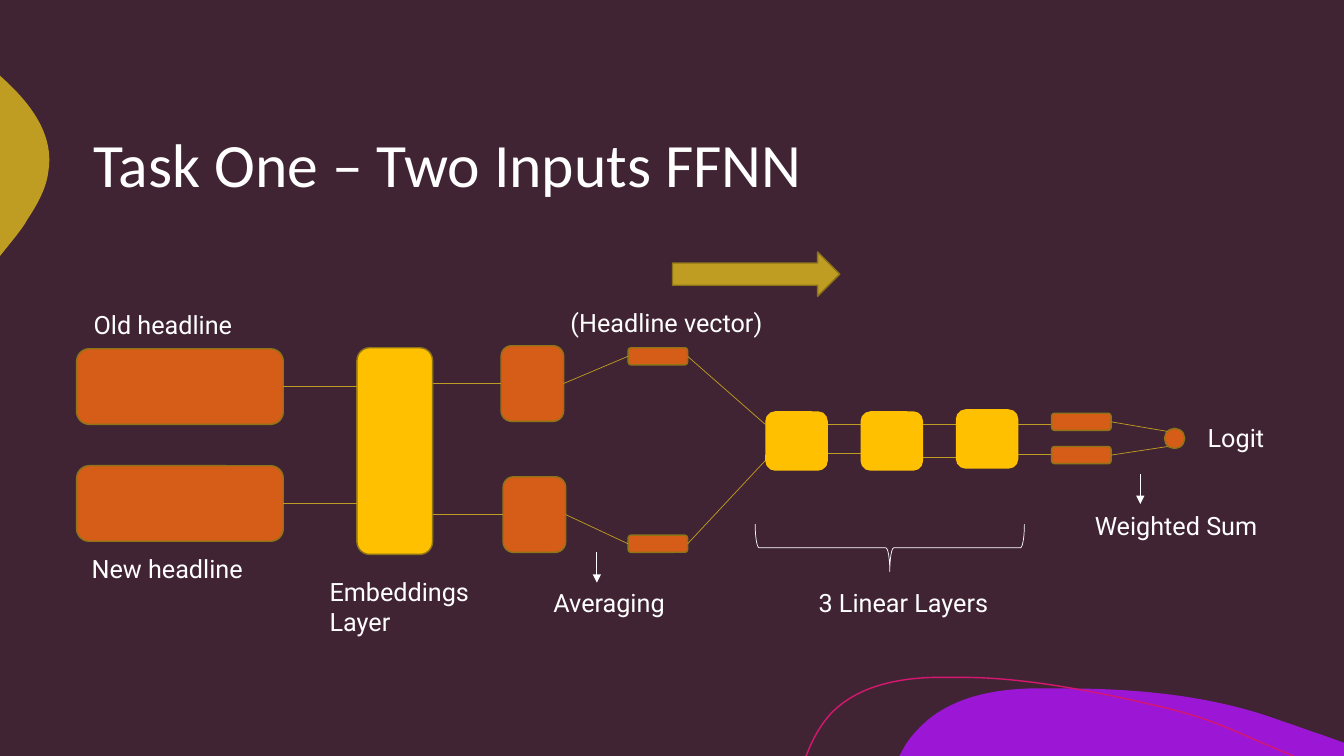
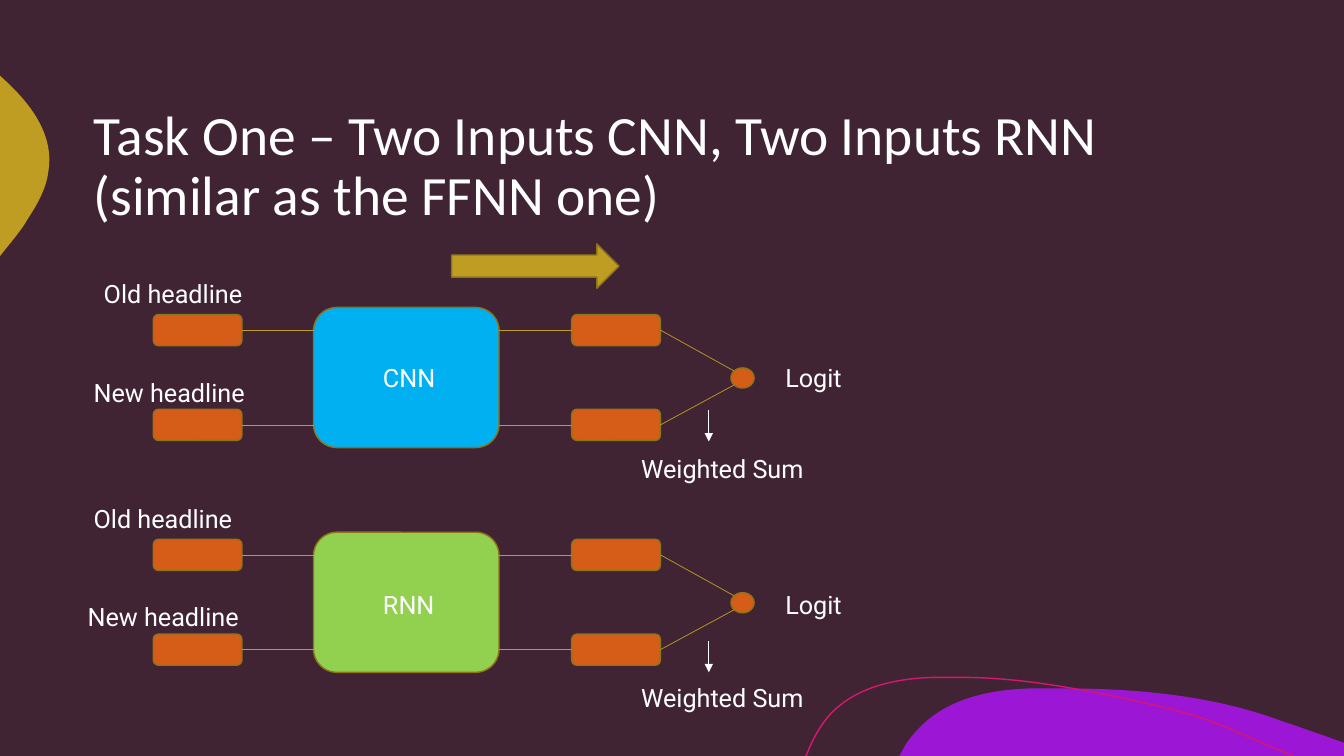
import lxml.etree
import pptx
import pptx.dml.color
import pptx.enum.shapes
import pptx.enum.text
import pptx.oxml.ns
import pptx.util

Inches = pptx.util.Inches
Pt = pptx.util.Pt
SHAPE = pptx.enum.shapes.MSO_SHAPE
qn = pptx.oxml.ns.qn

COLORS = {
    name: pptx.dml.color.RGBColor.from_string(value)
    for name, value in {
        "plum": "412434",
        "purple": "9C17D5",
        "gold": "BF9D22",
        "bronze": "8D7419",
        "pink": "D51770",
        "orange": "D55D17",
        "amber": "FFC000",
        "blue": "00B0F0",
        "green": "92D050",
        "white": "FFFFFF",
    }.items()
}


def add_block(slide, kind, box, fill="orange", outline="bronze", weight=1):
    block = slide.shapes.add_shape(kind, *[Inches(value) for value in box])
    block.shadow.inherit = False
    if fill:
        block.fill.solid()
        block.fill.fore_color.rgb = COLORS[fill]
    else:
        block.fill.background()
    if outline:
        block.line.color.rgb = COLORS[outline]
        block.line.width = Pt(weight)
    else:
        block.line.fill.background()
    return block


def add_link(slide, start, end, color="gold", arrow=False):
    points = [
        [Inches(value) for value in spot] if isinstance(spot, tuple) else [0, 0]
        for spot in (start, end)
    ]
    link = slide.shapes.add_connector(
        pptx.enum.shapes.MSO_CONNECTOR.STRAIGHT, *points[0], *points[1]
    )
    if not isinstance(start, tuple):
        link.begin_connect(start, 3)
    if not isinstance(end, tuple):
        link.end_connect(end, 1)
    link.line.color.rgb = COLORS[color]
    link.line.width = Pt(0.5)
    properties = link.element.spPr
    if arrow:
        lxml.etree.SubElement(
            properties.find(qn("a:ln")), qn("a:tailEnd"), type="triangle"
        )
    lxml.etree.SubElement(properties, qn("a:effectLst"))


deck = pptx.Presentation()
deck.slide_width = Inches(13.33)
deck.slide_height = Inches(7.5)
master = deck.slide_master
master.background.fill.solid()
master.background.fill.fore_color.rgb = COLORS["plum"]

layout = deck.slide_layouts[5]
layout_title = layout.placeholders[0]
layout_title.left, layout_title.top = Inches(0.83), Inches(0.83)
layout_title.width, layout_title.height = Inches(11.67), Inches(1.67)

slides = []
for title_text, title_size in [
    ("Task One – Two Inputs FFNN", 44),
    ("Task One – Two Inputs CNN, Two Inputs RNN\v(similar as the FFNN one)", 39.6),
]:
    slide = deck.slides.add_slide(layout)
    frame = slide.shapes.title.text_frame
    frame.text = title_text
    frame.auto_size = pptx.enum.text.MSO_AUTO_SIZE.NONE
    frame.vertical_anchor = pptx.enum.text.MSO_ANCHOR.MIDDLE
    heading = frame.paragraphs[0]
    heading.alignment = pptx.enum.text.PP_ALIGN.LEFT
    heading.line_spacing = 0.9
    for run in heading.runs:
        run.font.name = "Calibri"
        run.font.size = Pt(title_size)
        run.font.color.rgb = COLORS["white"]
    slides.append(slide)
ffnn_slide, pair_slide = slides

waves = [
    ("purple", None, (10.54, 6.83), [
        (11.28, 6.83, 12.04, 6.9, 12.73, 7.16),
        (12.86, 7.2, 12.98, 7.25, 13.11, 7.29),
        (13.33, 7.37), (13.33, 7.5), (8.92, 7.5), (8.98, 7.39),
        (9.02, 7.33, 9.06, 7.28, 9.11, 7.23),
        (9.39, 6.93, 9.82, 6.84, 10.23, 6.83),
        (10.33, 6.83, 10.43, 6.83, 10.54, 6.83),
    ]),
    ("gold", None, (0, 0.75), [
        (0.01, 0.76),
        (0.3, 1.02, 0.54, 1.33, 0.48, 1.7),
        (0.46, 1.87, 0.37, 2.03, 0.27, 2.18),
        (0.24, 2.24, 0.17, 2.33, 0.08, 2.44),
        (0, 2.54),
    ]),
    (None, "pink", (7.99, 7.5), [
        (8, 7.49),
        (8.06, 7.33, 8.14, 7.19, 8.24, 7.08),
        (8.5, 6.81, 8.89, 6.73, 9.26, 6.72),
        (9.55, 6.72),
        (10.22, 6.72, 11, 6.89, 11.55, 7.02),
        (12.09, 7.15, 12.26, 7.27, 12.83, 7.5),
    ]),
]
for order, (fill, outline, origin, segments) in enumerate(waves):
    builder = ffnn_slide.shapes.build_freeform(Inches(origin[0]), Inches(origin[1]))
    builder.add_line_segments(
        [
            (Inches(x), Inches(y))
            for segment in segments
            for x, y in zip(segment[::2], segment[1::2])
        ],
        close=bool(fill),
    )
    wave = builder.convert_to_shape()
    steps = iter(list(wave.element.iter(qn("a:lnTo"))))
    for segment in segments:
        bend = next(steps)
        if len(segment) == 6:
            bend_end = [next(steps), next(steps)]
            curve = lxml.etree.Element(qn("a:cubicBezTo"))
            bend.addprevious(curve)
            for step in [bend, *bend_end]:
                curve.append(step[0])
                step.getparent().remove(step)
    wave.shadow.inherit = False
    if fill:
        wave.fill.solid()
        wave.fill.fore_color.rgb = COLORS[fill]
        wave.line.fill.background()
    else:
        wave.fill.background()
        wave.line.color.rgb = COLORS[outline]
        wave.line.width = Pt(1)
    wave.element.nvSpPr.cNvPr.set("id", str(100 + order))
    master.shapes.element.insert(2 + order, wave.element)

ROUNDED = SHAPE.ROUNDED_RECTANGLE
add_block(ffnn_slide, ROUNDED, (3.54, 3.45, 0.75, 2.05), "amber")
for headline_top, words_left, words_top, vector_top, layer_y in [
    (3.46, 4.97, 3.43, 3.45, 4.21),
    (4.62, 4.99, 4.73, 5.31, 4.57),
]:
    headline = add_block(ffnn_slide, ROUNDED, (0.76, headline_top, 2.05, 0.75))
    words = add_block(ffnn_slide, ROUNDED, (words_left, words_top, 0.62, 0.75))
    vector = add_block(ffnn_slide, ROUNDED, (6.23, vector_top, 0.59, 0.17))
    add_link(ffnn_slide, headline, (3.54, headline_top + 0.375))
    add_link(ffnn_slide, (4.29, words_top + 0.375), words)
    add_link(ffnn_slide, words, vector)
    add_link(ffnn_slide, vector, (7.59, layer_y))

for layer, (layer_top, lower_y) in enumerate([(4.08, 4.5), (4.08, 4.54), (4.06, 4.51)]):
    layer_left = 7.59 + 0.945 * layer
    add_block(ffnn_slide, ROUNDED, (layer_left, layer_top, 0.62, 0.59), "amber", None)
    for link_y in (4.21, lower_y):
        add_link(ffnn_slide, (layer_left + 0.62, link_y), (layer_left + 0.95, link_y))

add_block(ffnn_slide, SHAPE.OVAL, (11.55, 4.25, 0.2, 0.2))
for output_top, logit_y in [(4.1, 4.28), (4.43, 4.43)]:
    output = add_block(ffnn_slide, ROUNDED, (10.43, output_top, 0.59, 0.17))
    add_link(ffnn_slide, output, (11.58, logit_y))

brace = add_block(ffnn_slide, SHAPE.RIGHT_BRACE, (8.59, 4.1, 0.47, 2.67), None, "white", 0.5)
brace.rotation = 90
for arrow_x, arrow_top in [(5.92, 5.48), (11.31, 4.7)]:
    add_link(ffnn_slide, (arrow_x, arrow_top), (arrow_x, arrow_top + 0.3), "white", True)

labels = [
    (ffnn_slide, "Embeddings Layer", 3.17, 5.67, 1.82, 0.71),
    (ffnn_slide, "3 Linear Layers", 8.02, 5.78, 2.08, 0.4),
    (ffnn_slide, "Averaging", 5.39, 5.78, 1.82, 0.4),
    (ffnn_slide, "Weighted Sum", 10.76, 5.01, 1.82, 0.71),
    (ffnn_slide, "New headline", 0.81, 5.44, 2.05, 0.4),
    (ffnn_slide, "Old headline", 0.83, 3.02, 2.05, 0.4),
    (ffnn_slide, "Logit", 11.88, 4.14, 0.93, 0.4),
    (ffnn_slide, "(Headline vector)", 5.56, 3, 2.26, 0.4),
]

for network, color, top, old_left, new_left, name_top, arrow_top, sum_top in [
    ("CNN", "blue", 3.05, 0.93, 0.83, 3.55, 4.07, 4.45),
    ("RNN", "green", 5.28, 0.83, 0.77, 5.8, 6.36, 6.72),
]:
    add_block(pair_slide, ROUNDED, (3.11, top, 1.84, 1.39), color)
    add_block(pair_slide, SHAPE.OVAL, (7.25, top + 0.6, 0.23, 0.2))
    for row_top, logit_y in [(top + 0.07, top + 0.63), (top + 1.01, top + 0.77)]:
        headline = add_block(pair_slide, ROUNDED, (1.52, row_top, 0.88, 0.31))
        output = add_block(pair_slide, ROUNDED, (5.67, row_top, 0.88, 0.31))
        add_link(pair_slide, headline, (3.11, row_top + 0.155))
        add_link(pair_slide, (4.95, row_top + 0.155), output)
        add_link(pair_slide, output, (7.28, logit_y))
    add_link(pair_slide, (7.03, arrow_top), (7.03, arrow_top + 0.31), "white", True)
    labels += [
        (pair_slide, "Old headline", old_left, top - 0.34, 2.05, 0.4),
        (pair_slide, "New headline", new_left, top + 0.64, 2.05, 0.4),
        (pair_slide, network, 3.7, name_top, 0.95, 0.4),
        (pair_slide, "Logit", 7.69, name_top, 0.93, 0.4),
        (pair_slide, "Weighted Sum", 6.26, sum_top, 2.05, 0.4),
    ]

for slide, arrow_left, arrow_top in [(ffnn_slide, 6.67, 2.5), (pair_slide, 4.48, 2.42)]:
    add_block(slide, SHAPE.RIGHT_ARROW, (arrow_left, arrow_top, 1.66, 0.44), "gold")

for slide, text, *box in labels:
    label = slide.shapes.add_textbox(*[Inches(value) for value in box])
    label.text_frame.word_wrap = True
    label.text_frame.auto_size = pptx.enum.text.MSO_AUTO_SIZE.SHAPE_TO_FIT_TEXT
    label.text_frame.text = text
    font = label.text_frame.paragraphs[0].runs[0].font
    font.name = "Roboto"
    font.size = Pt(18)
    font.color.rgb = COLORS["white"]

deck.save("out.pptx")
